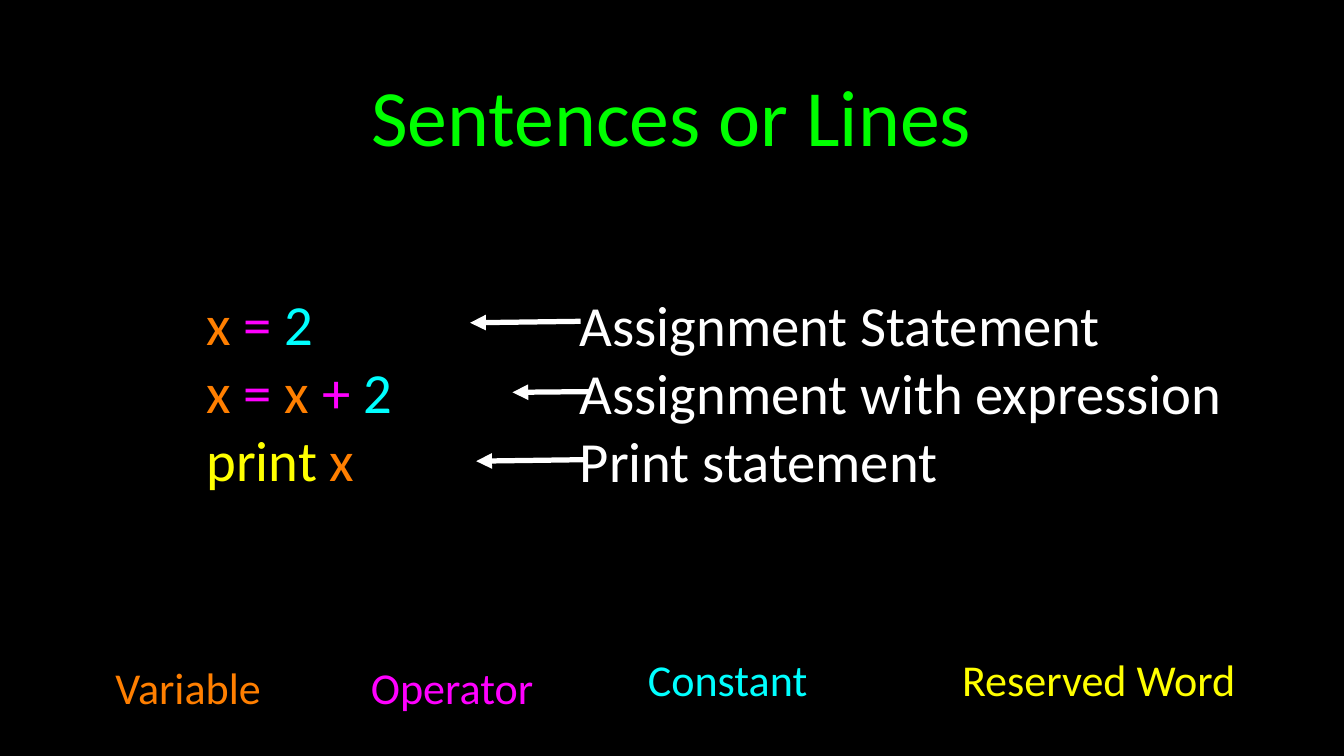
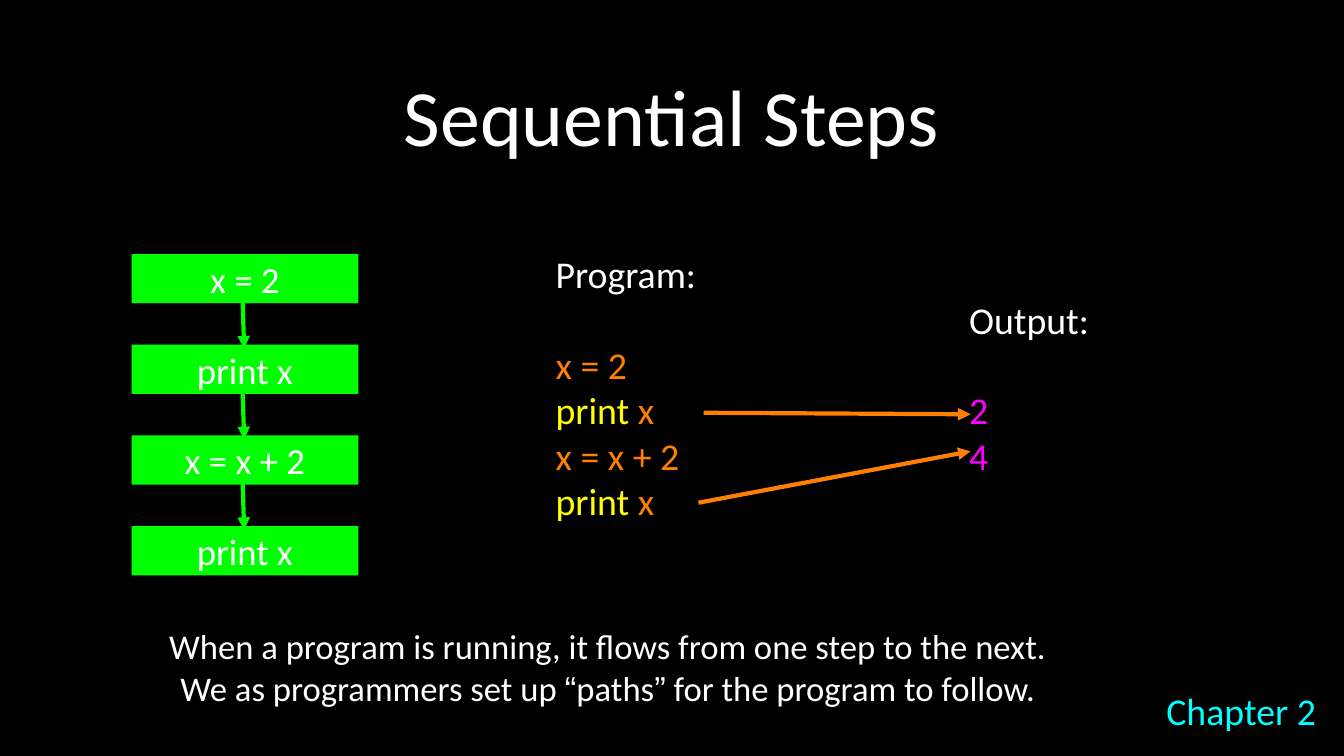
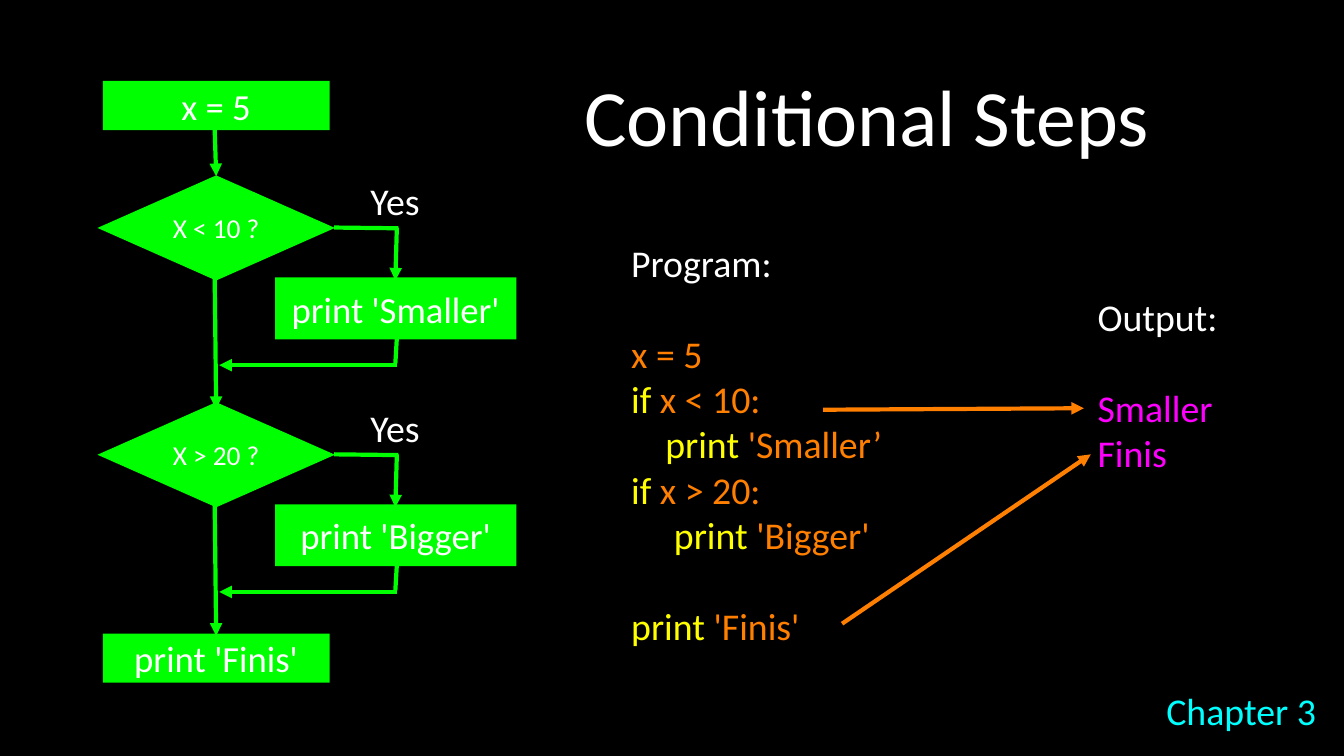
from lxml import etree
from pptx import Presentation
from pptx.dml.color import RGBColor
from pptx.enum import shapes, text
from pptx.oxml.ns import qn
from pptx.util import Inches, Pt

COLS, ROWS = 177.8, 100  # the grid laid over each slide
LINE = 1.2               # line pitch as a multiple of the text size
COLOURS = {
    "back": "000000", "plain": "FFFFFF", "flow": "00FF00",
    "variable": "FF7F00", "operator": "FF00FF",
    "constant": "00FFFF", "reserved": "FFFF00",
}
FRAME = {
    "margin_left": 0, "margin_right": 0, "margin_top": 0, "margin_bottom": 0,
    "vertical_anchor": text.MSO_ANCHOR.MIDDLE, "word_wrap": True,
}
LEFT, CENTER = text.PP_ALIGN.LEFT, text.PP_ALIGN.CENTER
RECT, DIAMOND = shapes.MSO_SHAPE.RECTANGLE, shapes.MSO_SHAPE.DIAMOND


def apply(target, values):
    for name, value in values.items():
        setattr(target, name, value)


def rgb(colour):
    return RGBColor.from_string(COLOURS[colour])


def code_line(line):
    """Split a line of code into an indent, a reserved word and the rest."""
    body = line.lstrip(" ")
    word, gap, rest = body.partition(" ")
    if word not in ("print", "if"):
        return [(line, "variable")]
    indent = line[:len(line) - len(body)]
    runs = [(indent, "variable"), (word, "reserved"), (gap + rest, "variable")]
    return [run for run in runs if run[0]]


class Deck:
    def __init__(self):
        self.prs = Presentation()
        self.prs.slide_width, self.prs.slide_height = Inches(17.78), Inches(10)
        self.s = None

    def x(self, cols):
        return round(self.prs.slide_width * cols / COLS)

    def y(self, rows):
        return round(self.prs.slide_height * rows / ROWS)

    def area(self, left, top, width, height):
        return self.x(left), self.y(top), self.x(width), self.y(height)

    def slide(self, title, colour="plain", left=12.6):
        self.s = self.prs.slides.add_slide(self.prs.slide_layouts[6])
        fill = self.s.background.fill
        fill.solid()
        fill.fore_color.rgb = rgb("back")
        self.label(title, (left, 2.6, 165 - left, 25.1), 76, colour)

    def set_lines(self, tf, lines, size, align, gaps=()):
        """Fill a frame with lines of (text, colour, font) runs; gaps lists lines set one line lower."""
        apply(tf, FRAME)
        for i, line in enumerate(lines):
            p = tf.paragraphs[0] if i == 0 else tf.add_paragraph()
            p.alignment = align
            if i in gaps:
                p.space_before = Pt(size * LINE)
            for words, colour, *font in line:
                r = p.add_run()
                r.text = words
                apply(r.font, {"name": font[0] if font else "Calibri", "size": Pt(size)})
                r.font.color.rgb = rgb(colour)

    def text(self, lines, area, size, align=LEFT, gaps=()):
        sp = self.s.shapes.add_textbox(*self.area(*area))
        self.set_lines(sp.text_frame, lines, size, align, gaps)

    def label(self, words, area, size=36, colour="plain"):
        self.text([[(words, colour)]], area, size, CENTER)

    def step(self, words, area, kind=RECT, size=35):
        sp = self.s.shapes.add_shape(kind, *self.area(*area))
        sp.shadow.inherit = False
        sp.fill.solid()
        sp.fill.fore_color.rgb = rgb("flow")
        sp.line.fill.background()
        self.set_lines(sp.text_frame, [[(words, "plain")]], size, CENTER)

    def line(self, start, end, colour="flow", width=4, arrow=True):
        c = self.s.shapes.add_connector(
            shapes.MSO_CONNECTOR.STRAIGHT,
            self.x(start[0]), self.y(start[1]), self.x(end[0]), self.y(end[1]))
        c.line.color.rgb = rgb(colour)
        c.line.width = Pt(width)
        props = c._element.spPr
        if arrow:
            etree.SubElement(props.find(qn("a:ln")), qn("a:tailEnd"), type="triangle")
        etree.SubElement(props, qn("a:effectLst"))

    def program(self, code, area, gaps):
        lines = [[("Program:", "plain")]] + [code_line(line) for line in code]
        self.text(lines, area, 36, gaps=gaps)

    def output(self, results, area):
        lines = [[("Output:", "plain")]] + [[(r, "operator")] for r in results]
        self.text(lines, area, 36, gaps=[1])

    def chapter(self, number):
        self.label(f"Chapter {number}", (152.7, 91, 23, 6), colour="constant")


def sentences(d):
    d.slide("Sentences or Lines", "flow")
    d.text([
        [("x ", "variable"), ("= ", "operator"), ("2", "constant")],
        [("x ", "variable"), ("=", "operator"), (" x ", "variable"),
         ("+ ", "operator"), ("2", "constant")],
        code_line("print x"),
    ], (27.3, 38.2, 28.6, 27), 54)
    for words, colour, area in [
        ("Variable", "variable", (13.7, 87.4, 22.4, 7)),
        ("Operator", "operator", (47.2, 87.4, 25.2, 7)),
        ("Constant", "constant", (83.9, 86.3, 24.7, 7)),
        ("Reserved Word", "reserved", (124.5, 86.3, 41.7, 7)),
    ]:
        d.label(words, area, 42, colour)
    meanings = ["Assignment Statement", "Assignment with expression", "Print statement"]
    d.text([[(m, "plain")] for m in meanings], (76.7, 38.3, 99.3, 27), 54)
    for start, end in [((76.8, 42.5), (62.2, 42.7)), ((78, 51.8), (67.8, 51.9)),
                       ((77.6, 60.8), (63, 61))]:
        d.line(start, end, "plain", 5)


def sequential(d):
    d.slide("Sequential Steps")
    code = ["x = 2", "print x", "x = x + 2", "print x"]
    d.program(code, (73.5, 33.2, 22.1, 36), gaps=[1])
    d.output(["2", "4"], (128.2, 39.2, 18.1, 24))
    for i, words in enumerate(code):
        top = 33.6 + 12 * i
        d.step(words, (17.4, top, 30, 6.5))
        if i:
            d.line((32.1, top - 5.6), (32.3, top + 0.5))
    d.line((93.1, 54.6), (128.4, 54.8), "variable")
    d.line((92.4, 66.5), (128.4, 59.7), "variable")
    d.text([[
        ("When a program is running, it flows from one step to the next. "
         "We as programmers set up ", "plain"),
        ("“", "plain", "Arial"), ("paths", "plain"), ("”", "plain", "Arial"),
        (" for the program to follow.", "plain"),
    ]], (20.9, 82.3, 119, 11.7), 33, CENTER)
    d.chapter(2)


def decision(d, top, question, action):
    """Draw a question with its Yes branch and the way on to the next step."""
    d.step(question, (12.9, top, 31.4, 13.9), DIAMOND, 26)
    d.line((28.4, top + 13.3), (28.6, top + 30.9))
    d.step(action, (36.4, top + 13.5, 31.9, 8.2))
    d.line((44.2, top + 6.9), (52.7, top + 7), arrow=False)
    d.line((52.5, top + 6.9), (52.3, top + 13.9))
    d.line((52.5, top + 21.5), (52.3, top + 24.9), arrow=False)
    d.line((52.5, top + 25.1), (29, top + 25.1))
    d.label("Yes", (48.2, top + 0.3, 8.1, 6))


def conditional(d):
    d.slide("Conditional Steps", left=64.3)
    d.output(["Smaller", "Finis"], (145.2, 38.9, 18.1, 24))
    d.program(["x = 5", "if x < 10:", "    print 'Smaller’", "if x > 20:",
               "     print 'Bigger'", "print 'Finis'"],
              (83.5, 31.7, 37.5, 54), gaps=[1, 6])
    d.step("x = 5", (13.6, 10.7, 30, 6.5))
    d.line((28.4, 17.1), (28.6, 23.3))
    decision(d, 23.2, "X < 10 ?", "print 'Smaller'")
    decision(d, 53.2, "X > 20 ?", "print 'Bigger'")
    d.step("print 'Finis'", (13.6, 83.8, 30, 6.5))
    d.line((108.9, 54.2), (143.4, 54), "variable")
    d.line((111.4, 82.5), (144.3, 60.1), "variable")
    d.chapter(3)


def main():
    d = Deck()
    for build in (sentences, sequential, conditional):
        build(d)
    d.prs.save("out.pptx")


if __name__ == "__main__":
    main()
